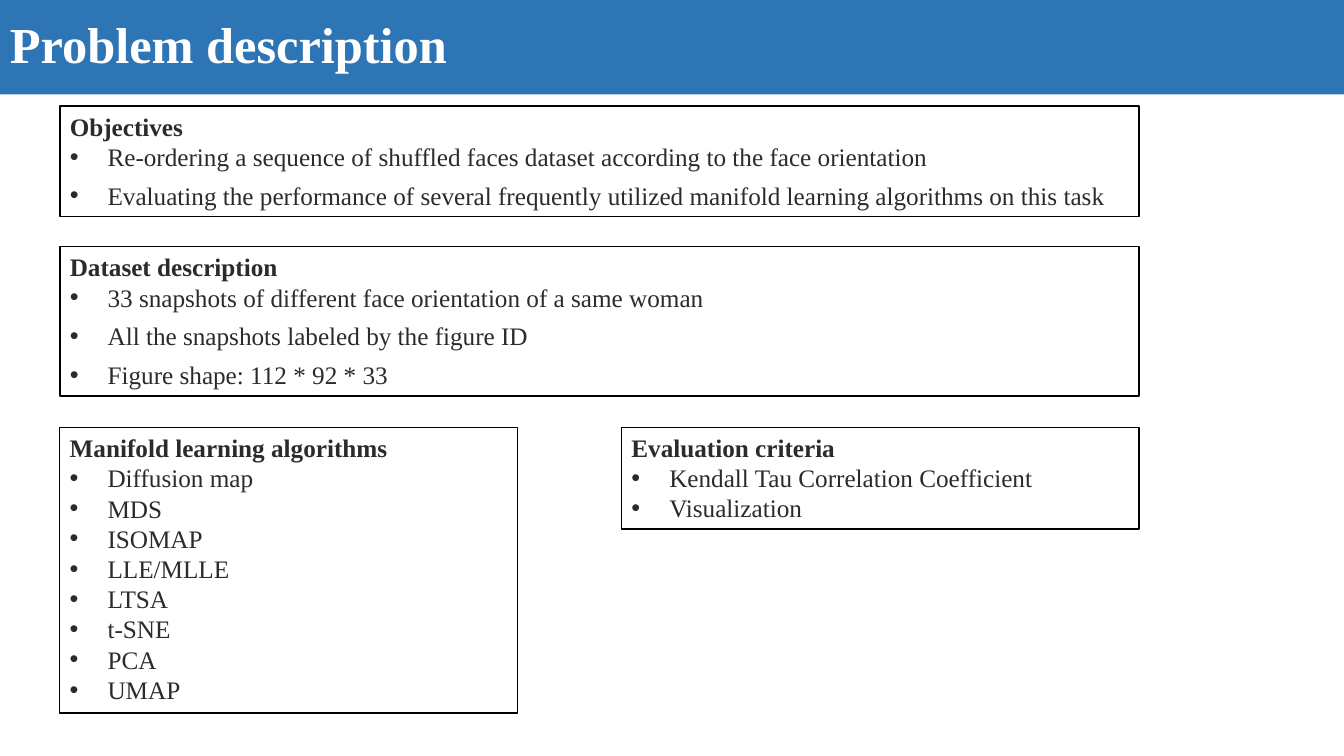
from pptx import Presentation
from pptx.dml.color import RGBColor
from pptx.enum.shapes import MSO_SHAPE as Shape
from pptx.enum.text import MSO_ANCHOR as Anchor, MSO_AUTO_SIZE as Fit, PP_ALIGN as Align
from pptx.oxml.ns import qn
from pptx.util import Pt
from lxml.etree import SubElement

PX = 9525
FONT = "Times New Roman"
BLUE = RGBColor(0x2E, 0x75, 0xB6)
WHITE = RGBColor(0xFF, 0xFF, 0xFF)
BLACK = RGBColor(0x00, 0x00, 0x00)
INK = RGBColor(0x2A, 0x2B, 0x2E)
LEFT, WIDE = 57, 1028
INDENT = 36


def px(*sizes):
    """Turn pixel lengths into EMU."""
    return [size * PX for size in sizes]


def add_run(para, text, size, color, bold=False):
    """Add one styled run to a paragraph."""
    run = para.add_run()
    run.text = text
    font = run.font
    font.name, font.size, font.bold = FONT, Pt(size), bold
    font.color.rgb = color


def set_bullet(para):
    """Give a paragraph a round bullet with a hanging indent."""
    props = para._p.get_or_add_pPr()
    props.set("marL", str(INDENT * PX))
    props.set("indent", str(-INDENT * PX))
    SubElement(props, qn("a:buFont")).set("typeface", "Arial")
    SubElement(props, qn("a:buChar")).set("char", "•")


def add_banner(slide, text, width, height):
    """Add the title band across the top."""
    band = slide.shapes.add_shape(Shape.RECTANGLE, *px(0, 0, width, height))
    band.shadow.inherit = False
    band.fill.solid()
    band.fill.fore_color.rgb = BLUE
    band.line.fill.background()
    frame = band.text_frame
    frame.word_wrap = True
    frame.vertical_anchor = Anchor.MIDDLE
    para = frame.paragraphs[0]
    para.alignment = Align.LEFT
    para.line_spacing = 0.9
    add_run(para, text, 36, WHITE, True)


def add_panel(slide, area, head, items, gap=0):
    """Add an outlined box with a bold heading and bullets."""
    box = slide.shapes.add_textbox(*px(*area))
    box.line.color.rgb = BLACK
    box.line.width = Pt(1)
    frame = box.text_frame
    frame.word_wrap = True
    frame.auto_size = Fit.SHAPE_TO_FIT_TEXT
    add_run(frame.paragraphs[0], head, 18, INK, True)
    for item in items:
        para = frame.add_paragraph()
        set_bullet(para)
        para.space_after = Pt(gap)
        add_run(para, item, 18, INK)


def main():
    """Build the slide and save it."""
    deck = Presentation()
    deck.slide_width, deck.slide_height = px(1280, 720)
    slide = deck.slides.add_slide(deck.slide_layouts[6])
    add_banner(slide, "Problem description", 1280, 90)
    add_panel(slide, (LEFT, 101, WIDE, 105), "Objectives", [
        "Re-ordering a sequence of shuffled faces dataset according to the face orientation",
        "Evaluating the performance of several frequently utilized manifold learning "
        "algorithms on this task",
    ], 6)
    add_panel(slide, (LEFT, 235, WIDE, 142), "Dataset description", [
        "33 snapshots of different face orientation of a same woman",
        "All the snapshots labeled by the figure ID",
        "Figure shape: 112 * 92 * 33",
    ], 6)
    add_panel(slide, (LEFT, 407, 436, 272), "Manifold learning algorithms", [
        "Diffusion map", "MDS", "ISOMAP", "LLE/MLLE", "LTSA", "t-SNE", "PCA", "UMAP",
    ])
    add_panel(slide, (592, 407, 493, 97), "Evaluation criteria", [
        "Kendall Tau Correlation Coefficient", "Visualization",
    ])
    deck.save("out.pptx")


if __name__ == "__main__":
    main()
